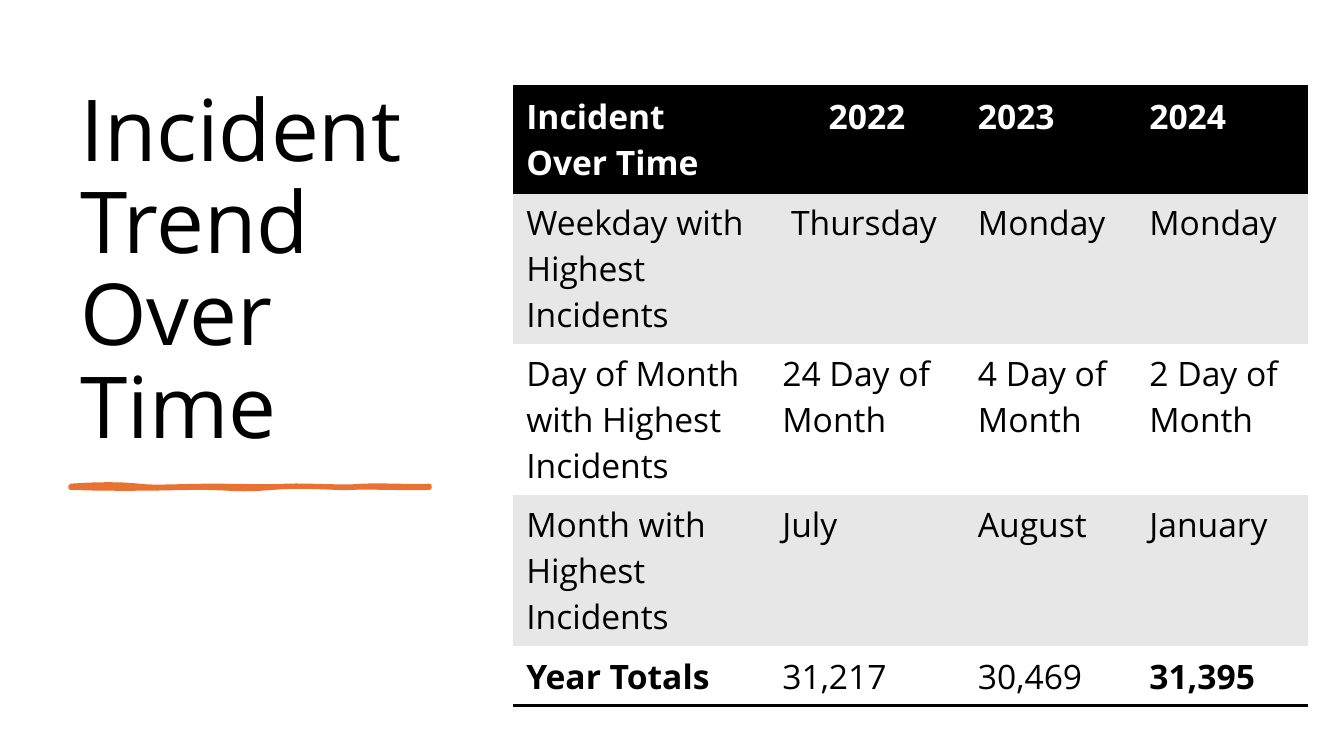
from lxml import etree
from pptx import Presentation, util as u
from pptx.dml.color import RGBColor
from pptx.enum import text
from pptx.oxml.ns import qn

SLIDE_W, SLIDE_H = 13.33, 7.5
FONT = "Open Sans"
BLACK, WHITE, BAND, ORANGE = "000000", "FFFFFF", "E7E7E7", "E97132"
NO_STYLE = "{2D5ABB26-0587-4C30-8999-92F81FD0307C}"

INCIDENTS = [
    ["Incident\nOver Time", "2022", "2023", "2024"],
    ["Weekday with Highest Incidents", " Thursday", "Monday", "Monday"],
    ["Day of Month with Highest Incidents", "24 Day of Month", "4 Day of Month", "2 Day of Month"],
    ["Month with Highest Incidents", "July", "August", "January"],
    ["Year Totals", "31,217", "30,469", "31,395"],
]
BOLD_TOTALS = ("Year Totals", "31,395")
COLUMNS = [2.54, 1.94, 1.7, 1.7]
ROWS = [1.05, 1.5, 1.5, 1.5, 0.59]

# Brush stroke in hundredths of an inch from its left end: the start point,
# then two controls and an end for each curve.
STROKE_START = (0, 0)
STROKE_CURVES = [
    ((27, -2), (51, -2), (68, 0)),
    ((85, 2), (107, 0), (139, 0)),
    ((171, 0), (190, 1), (214, 0)),
    ((238, -1), (269, 2), (289, 0)),
    ((309, -1), (342, 1), (356, 0)),
    ((356, 1), (356, 2), (356, 2)),
    ((338, 3), (294, 1), (278, 2)),
    ((262, 3), (234, -1), (200, 2)),
    ((165, 5), (161, 2), (129, 2)),
    ((96, 2), (62, 4), (0, 2)),
]
FINENESS = 100


def color(value):
    return RGBColor.from_string(value)


def add_run(paragraph, wording, size, ink, bold=False):
    run = paragraph.add_run()
    run.text = wording
    run.font.name, run.font.size = FONT, u.Pt(size)
    run.font.bold = bold
    run.font.color.rgb = color(ink)


def add_title(slide, left, top, width, height):
    title = slide.shapes.add_textbox(*map(u.Inches, (left, top, width, height)))
    frame = title.text_frame
    frame.word_wrap = True
    frame.vertical_anchor = text.MSO_ANCHOR.BOTTOM
    frame.margin_bottom = u.Inches(0.08)
    frame.paragraphs[0].line_spacing = 0.9
    add_run(frame.paragraphs[0], "Incident Trend Over Time", 61, BLACK)


def curve_points(start, curves, steps=8):
    """Return finely scaled points along a chain of cubic Bezier curves."""
    points = []
    for first, second, end in curves:
        for step in range(1, steps + 1):
            t = step / steps
            weights = ((1 - t) ** 3, 3 * t * (1 - t) ** 2, 3 * t * t * (1 - t), t ** 3)
            points.append(tuple(FINENESS * sum(w * c for w, c in zip(weights, axis))
                                for axis in zip(start, first, second, end)))
        start = end
    return points


def add_brush_stroke(slide, left, top):
    builder = slide.shapes.build_freeform(*STROKE_START, scale=u.Inches(0.01) / FINENESS)
    builder.add_line_segments(curve_points(STROKE_START, STROKE_CURVES))
    stroke = builder.convert_to_shape(u.Inches(left), u.Inches(top))
    stroke.shadow.inherit = False
    stroke.fill.solid()
    stroke.fill.fore_color.rgb = color(ORANGE)
    stroke.line.color.rgb = color(ORANGE)
    stroke.line.width = u.Pt(3)


def add_border(cell, tag):
    properties = cell._tc.get_or_add_tcPr()
    border = etree.Element(qn(tag), w=str(u.Pt(2)))
    fill = etree.SubElement(border, qn("a:solidFill"))
    etree.SubElement(fill, qn("a:srgbClr"), val=BLACK)
    properties.insert(0, border)


def fill_cell(cell, wording, row, column):
    header = row == 0
    cell.margin_left = cell.margin_right = u.Inches(0.13)
    cell.margin_top = cell.margin_bottom = u.Inches(0.07)
    cell.fill.solid()
    cell.fill.fore_color.rgb = color(BLACK if header else BAND if row % 2 else WHITE)
    if header or row == len(ROWS) - 1:
        add_border(cell, "a:lnB")
    if header:
        add_border(cell, "a:lnT")
    paragraph = cell.text_frame.paragraphs[0]
    if header and column == 1:
        paragraph.alignment = text.PP_ALIGN.CENTER
    for index, line in enumerate(wording.split("\n")):
        if index:
            paragraph.add_line_break()
        add_run(paragraph, line, 24, WHITE if header else BLACK,
                header or wording in BOLD_TOTALS)


def add_incident_table(slide, left, top):
    frame = slide.shapes.add_table(len(ROWS), len(COLUMNS), u.Inches(left), u.Inches(top),
                                   u.Inches(sum(COLUMNS)), u.Inches(sum(ROWS)))
    table = frame.table
    table._tbl.tblPr.find(qn("a:tableStyleId")).text = NO_STYLE
    for column, width in zip(table.columns, COLUMNS):
        column.width = u.Inches(width)
    for row, height in zip(table.rows, ROWS):
        row.height = u.Inches(height)
    for row, wordings in enumerate(INCIDENTS):
        for column, wording in enumerate(wordings):
            fill_cell(table.cell(row, column), wording, row, column)


def main():
    deck = Presentation()
    deck.slide_width, deck.slide_height = u.Inches(SLIDE_W), u.Inches(SLIDE_H)
    slide = deck.slides.add_slide(deck.slide_layouts[6])
    slide.background.fill.solid()
    slide.background.fill.fore_color.rgb = color(WHITE)
    margin = 0.7
    add_title(slide, margin, margin, 3.91, 3.91)
    add_brush_stroke(slide, margin, 4.82)
    add_incident_table(slide, 5.09, 0.86)
    deck.save("out.pptx")


if __name__ == "__main__":
    main()
